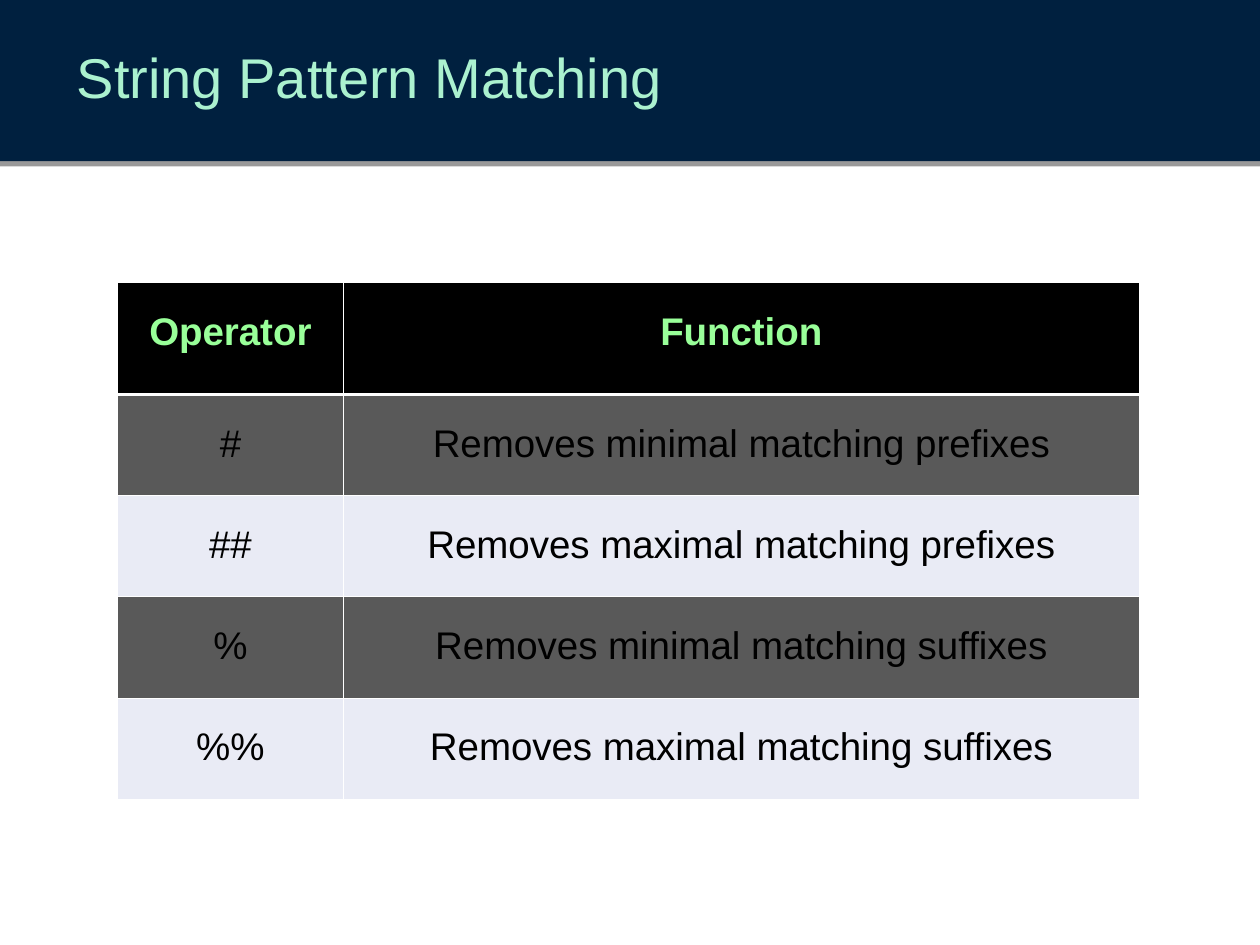
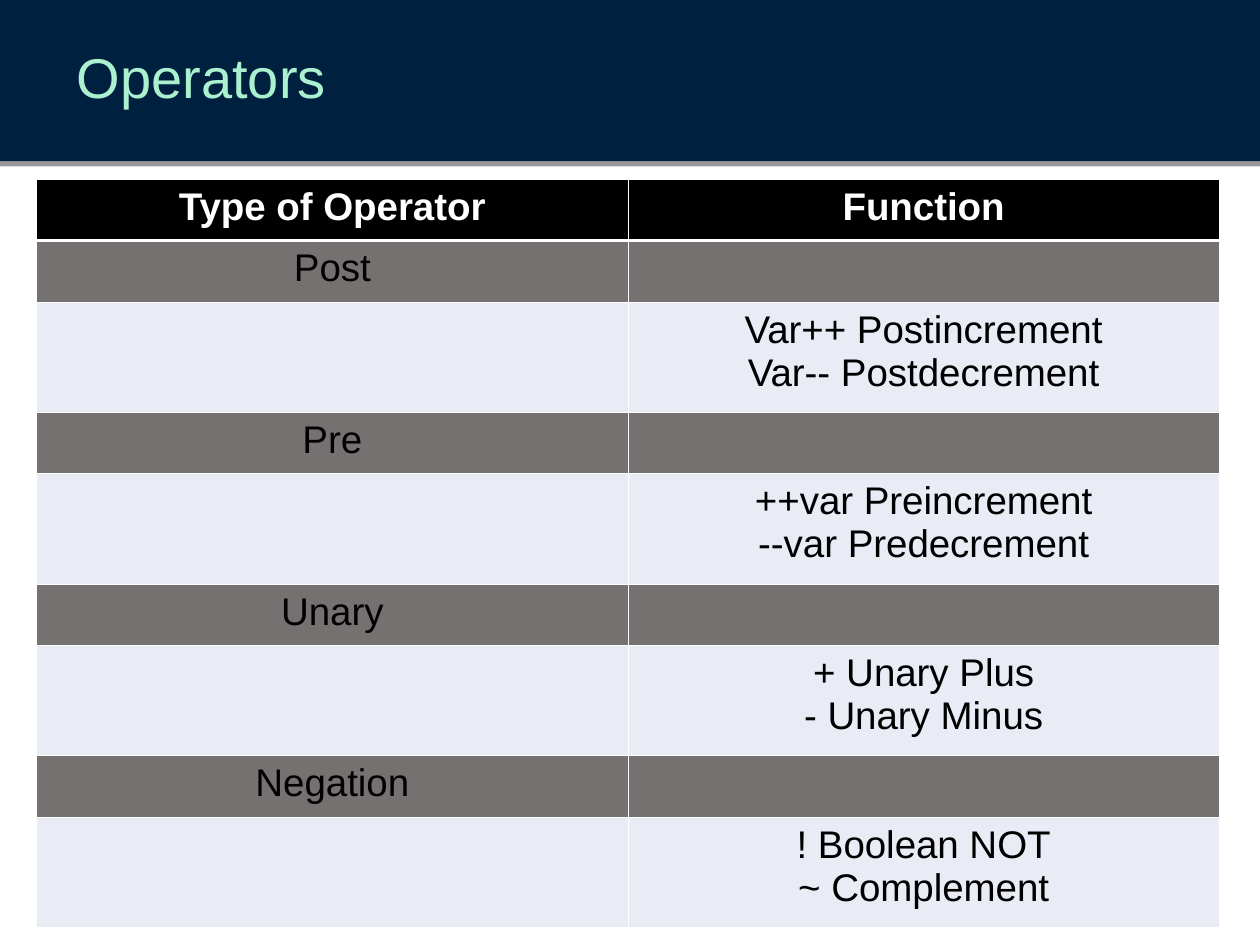
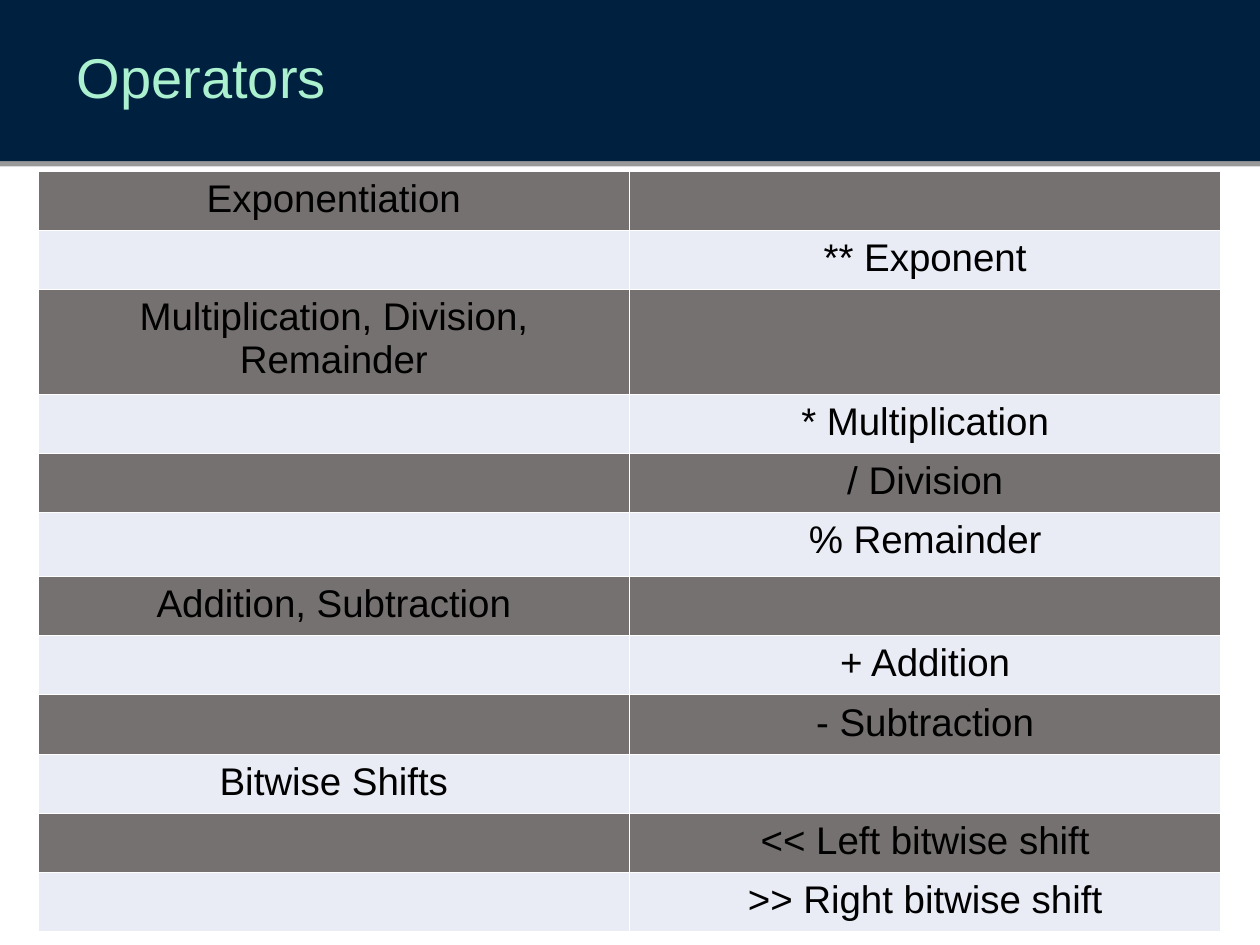
from dataclasses import dataclass

import pptx
import pptx.dml.color
import pptx.enum.shapes
import pptx.enum.text
import pptx.oxml
import pptx.oxml.ns
import pptx.util
from pptx.util import Cm

PP_ALIGN = pptx.enum.text.PP_ALIGN
NS = pptx.oxml.ns.nsdecls("a")


@dataclass(frozen=True)
class Theme:
    font: str = "Arial"
    title_size: int = 32
    table_size: int = 22
    band: str = "00203F"
    title: str = "ABF1CF"
    head_fill: str = "000000"
    head_green: str = "99FF99"
    white: str = "FFFFFF"
    text: str = "000000"
    dark_row: str = "595959"
    warm_row: str = "767171"
    light_row: str = "E9EBF5"
    thin: float = 0.45
    thick: float = 1.47


THEME = Theme()
SLIDE_W, SLIDE_H = Cm(25.4), Cm(19.05)
BAND_H = Cm(3.25)


def rgb(value):
    return pptx.dml.color.RGBColor.from_string(value)


def style_paragraph(p, size, color, bold=False, spacing=None):
    p.line_spacing = spacing
    for r in p.runs:
        r.font.name = THEME.font
        r.font.size = pptx.util.Pt(size)
        r.font.bold = bold
        r.font.color.rgb = rgb(color)


# Title band with a hard shadow below it
def add_band(s):
    sp = s.shapes.add_shape(pptx.enum.shapes.MSO_SHAPE.RECTANGLE, 0, 0, SLIDE_W, BAND_H)
    sp.fill.solid()
    sp.fill.fore_color.rgb = rgb(THEME.band)
    sp.line.fill.background()
    sp.shadow.inherit = False
    effects = sp._element.spPr.find(pptx.oxml.ns.qn("a:effectLst"))
    effects.append(pptx.oxml.parse_xml(
        f'<a:outerShdw {NS} blurRad="0" dist="{pptx.util.Pt(3)}" dir="5400000" rotWithShape="0">'
        '<a:srgbClr val="000000"><a:alpha val="40000"/></a:srgbClr></a:outerShdw>'))


def add_title(s, text):
    tf = s.shapes.add_textbox(Cm(1.3), 0, Cm(24.1), BAND_H).text_frame
    tf.word_wrap = True
    tf.vertical_anchor = pptx.enum.text.MSO_ANCHOR.MIDDLE
    tf.text = text
    style_paragraph(tf.paragraphs[0], THEME.title_size, THEME.title, spacing=0.9)


def add_titled_slide(prs, title):
    s = prs.slides.add_slide(prs.slide_layouts[6])
    add_band(s)
    add_title(s, title)
    return s


# Tables
def set_borders(cell, top, bottom):
    widths = {"lnL": THEME.thin, "lnR": THEME.thin, "lnT": top, "lnB": bottom}
    tc_pr = cell._tc.get_or_add_tcPr()
    for i, (side, width) in enumerate(widths.items()):
        tc_pr.insert(i, pptx.oxml.parse_xml(
            f'<a:{side} {NS} w="{pptx.util.Pt(width)}"><a:solidFill>'
            f'<a:srgbClr val="{THEME.white}"/></a:solidFill></a:{side}>'))


def add_banded_table(s, left, top, col_widths, row_heights, rows, band_fill,
                     head_color=None, spacing=None):
    """Dark and light rows alternate; a head colour makes the first row a header."""
    has_head = head_color is not None
    table = s.shapes.add_table(len(rows), len(col_widths), left, top,
                               sum(col_widths), sum(row_heights)).table
    table.first_row = has_head
    table.horz_banding = False
    for column, width in zip(table.columns, col_widths):
        column.width = width
    for i, (texts, height) in enumerate(zip(rows, row_heights)):
        table.rows[i].height = height
        is_head = has_head and i == 0
        is_dark = (i - has_head) % 2 == 0
        fill = THEME.head_fill if is_head else band_fill if is_dark else THEME.light_row
        color = head_color if is_head else THEME.text
        for j, text in enumerate(texts):
            cell = table.cell(i, j)
            cell.fill.solid()
            cell.fill.fore_color.rgb = rgb(fill)
            set_borders(cell,
                        THEME.thick if has_head and i == 1 else THEME.thin,
                        THEME.thick if is_head else THEME.thin)
            cell.text_frame.text = text
            for p in cell.text_frame.paragraphs:
                p.alignment = PP_ALIGN.CENTER
                style_paragraph(p, THEME.table_size, color, is_head, spacing)


# Slides
def add_pattern_slide(prs):
    s = add_titled_slide(prs, "String Pattern Matching")
    rows = [
        ("Operator", "Function"),
        ("#", "Removes minimal matching prefixes"),
        ("##", "Removes maximal matching prefixes"),
        ("%", "Removes minimal matching suffixes"),
        ("%%", "Removes maximal matching suffixes"),
    ]
    add_banded_table(s, Cm(2.37), Cm(5.7), [Cm(4.55), Cm(16.05)],
                     [Cm(2.25)] + [Cm(2.04)] * 4, rows, THEME.dark_row,
                     head_color=THEME.head_green, spacing=1.5)


def add_unary_slide(prs):
    s = add_titled_slide(prs, "Operators")
    groups = [
        ("Post", "Var++ Postincrement\nVar-- Postdecrement"),
        ("Pre", "++var Preincrement\n--var Predecrement"),
        ("Unary", "+ Unary Plus\n- Unary Minus"),
        ("Negation", "! Boolean NOT\n~ Complement"),
    ]
    rows = [("Type of Operator", "Function")]
    for name, functions in groups:
        rows += [(name, ""), ("", functions)]
    heights = [Cm(1.24)] + [Cm(1.24), Cm(2.22)] * len(groups)
    add_banded_table(s, Cm(0.74), Cm(3.61), [Cm(11.92)] * 2, heights, rows,
                     THEME.warm_row, head_color=THEME.white)


def add_arithmetic_slide(prs):
    s = add_titled_slide(prs, "Operators")
    groups = [
        ("Exponentiation", ["** Exponent"]),
        ("Multiplication, Division, Remainder",
         ["* Multiplication", "/ Division", "% Remainder"]),
        ("Addition, Subtraction", ["+ Addition", "- Subtraction"]),
        ("Bitwise Shifts", ["<< Left bitwise shift", ">> Right bitwise shift"]),
    ]
    rows = []
    for name, functions in groups:
        rows += [(name, "")] + [("", function) for function in functions]
    heights = [Cm(1.19)] * len(rows)
    heights[2], heights[5] = Cm(2.11), Cm(1.29)
    add_banded_table(s, Cm(0.77), Cm(3.46), [Cm(11.92)] * 2, heights, rows,
                     THEME.warm_row)


def main():
    prs = pptx.Presentation()
    prs.slide_width, prs.slide_height = SLIDE_W, SLIDE_H
    add_pattern_slide(prs)
    add_unary_slide(prs)
    add_arithmetic_slide(prs)
    prs.save("out.pptx")


if __name__ == "__main__":
    main()
